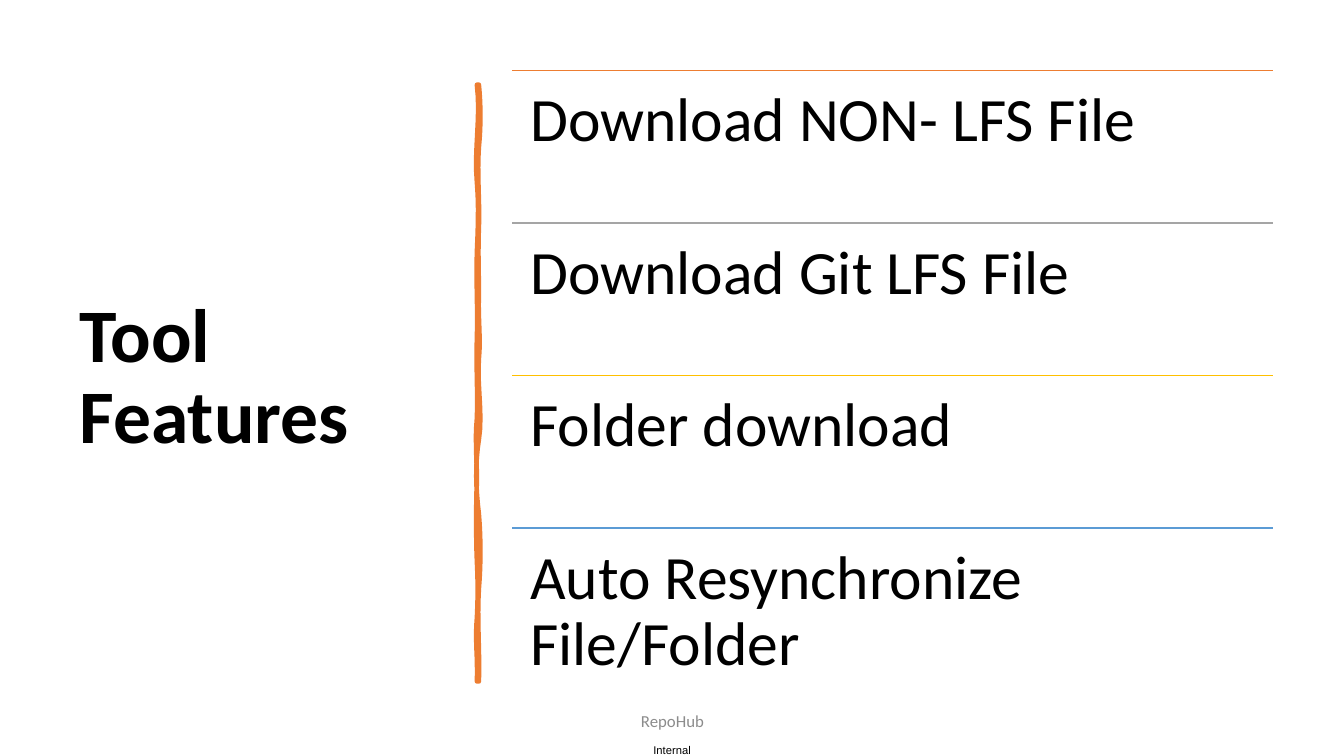
from dataclasses import dataclass

from lxml import etree
from pptx import Presentation
from pptx.dml.color import RGBColor
from pptx.enum.shapes import MSO_CONNECTOR
from pptx.enum.text import MSO_ANCHOR, MSO_AUTO_SIZE, PP_ALIGN
from pptx.oxml.ns import qn
from pptx.util import Inches, Pt

STRAIGHT = MSO_CONNECTOR.STRAIGHT
TOP, MIDDLE = MSO_ANCHOR.TOP, MSO_ANCHOR.MIDDLE
LEFT, CENTER = PP_ALIGN.LEFT, PP_ALIGN.CENTER


@dataclass(frozen=True)
class Theme:
    font: str = "Calibri"
    label_font: str = "Arial"
    text: str = "000000"
    muted: str = "8C8C8C"
    accent: str = "ED7D31"
    title_size: int = 54
    item_size: int = 44
    footer_size: int = 12
    label_size: int = 8


theme = Theme()


def write(box, text, size, font=theme.font, color=theme.text, bold=False,
          align=LEFT, anchor=TOP, inset=(0.1, 0.05), spacing=None):
    """Fill a box with one formatted paragraph; inset is (sides, top and bottom) in inches."""
    frame = box.text_frame
    frame.text = text
    frame.word_wrap = True
    frame.auto_size = MSO_AUTO_SIZE.NONE
    frame.vertical_anchor = anchor
    frame.margin_left = frame.margin_right = Inches(inset[0])
    frame.margin_top = frame.margin_bottom = Inches(inset[1])
    para = frame.paragraphs[0]
    para.alignment = align
    para.line_spacing = spacing
    span = para.runs[0].font
    span.name, span.size, span.bold = font, Pt(size), bold
    span.color.rgb = RGBColor.from_string(color)


def edge_points(x, start, curves, steps=8):
    """Sample a wavy vertical edge; each curve is (first pull x, second pull x, end y)."""
    points = []
    for pull_1, pull_2, end in curves:
        for step in range(1, steps + 1):
            t = step / steps
            u = 1 - t
            wave = x * (u**3 + t**3) + 3 * u * t * (u * pull_1 + t * pull_2)
            points.append((Inches(wave), Inches(start + (end - start) * t)))
        start = end
    return points


deck = Presentation()
deck.slide_width, deck.slide_height = Inches(13.33), Inches(7.5)
page = deck.slides.add_slide(deck.slide_layouts[5])
shapes = page.shapes

# Title
title = shapes.title
title.left, title.top = Inches(0.69), Inches(0.7)
title.width, title.height = Inches(3.74), Inches(6.11)
write(title, "Tool Features", theme.title_size, bold=True, anchor=MIDDLE, spacing=0.9)

# Hand-drawn bar: down the right edge, back up the left edge
BAR_TOP, BAR_BOTTOM = 0.84, 6.76
BAR_LEFT, BAR_RIGHT = 4.73, 4.75
right_curves = [
    (4.77, 4.77, 1.46), (4.73, 4.76, 2.26), (4.74, 4.75, 2.94),
    (4.74, 4.77, 3.56), (4.73, 4.79, 4.36), (4.71, 4.72, 5.1),
    (4.77, 4.77, 5.84), (4.73, 4.76, BAR_BOTTOM),
]
left_curves = [
    (4.74, 4.71, 6.13), (4.74, 4.74, 5.57), (4.72, 4.72, 4.77),
    (4.73, 4.71, 4.15), (4.74, 4.72, 3.35), (4.74, 4.72, 2.5),
    (4.74, 4.75, 1.81), (4.7, 4.77, BAR_TOP),
]
outline = shapes.build_freeform(Inches(BAR_RIGHT), Inches(BAR_TOP))
outline.add_line_segments(
    edge_points(BAR_RIGHT, BAR_TOP, right_curves)
    + [(Inches(BAR_LEFT), Inches(BAR_BOTTOM))]
    + edge_points(BAR_LEFT, BAR_BOTTOM, left_curves),
    close=True,
)
bar = outline.convert_to_shape()
bar.shadow.inherit = False
bar.fill.solid()
bar.fill.fore_color.rgb = bar.line.color.rgb = RGBColor.from_string(theme.accent)
bar.line.width = Pt(3.25)
etree.SubElement(bar.line._get_or_add_ln(), qn("a:round"))

# Feature list, each item under a coloured rule
features = [
    ("Download NON- LFS File", theme.accent),
    ("Download Git LFS File", "A5A5A5"),
    ("Folder download", "FFC000"),
    ("Auto Resynchronize File/Folder", "5B9BD5"),
]
LIST_LEFT, LIST_TOP, LIST_WIDTH = 5.08, 0.7, 7.55
ROW_HEIGHT = 6.05 / len(features)
for row, (feature, color) in enumerate(features):
    top = LIST_TOP + row * ROW_HEIGHT
    rule = shapes.add_connector(STRAIGHT, Inches(LIST_LEFT), Inches(top),
                                Inches(LIST_LEFT + LIST_WIDTH), Inches(top))
    rule.line.color.rgb = RGBColor.from_string(color)
    rule.line.width = Pt(1)
    etree.SubElement(rule._element.spPr, qn("a:effectLst"))
    item = shapes.add_textbox(Inches(LIST_LEFT), Inches(top),
                              Inches(LIST_WIDTH), Inches(ROW_HEIGHT))
    write(item, feature, theme.item_size, inset=(0.18, 0.18), spacing=0.9)

# Footer and classification label
footer = shapes.add_textbox(Inches(4.42), Inches(6.95), Inches(4.5), Inches(0.4))
write(footer, "RepoHub", theme.footer_size, color=theme.muted, align=CENTER, anchor=MIDDLE)
footer.text_frame.paragraphs[0].space_after = Pt(6)
label = shapes.add_textbox(Inches(6.48), Inches(7.37), Inches(0.4), Inches(0.13))
write(label, "Internal", theme.label_size, font=theme.label_font, inset=(0, 0))
label.text_frame.word_wrap = False

deck.save("out.pptx")
